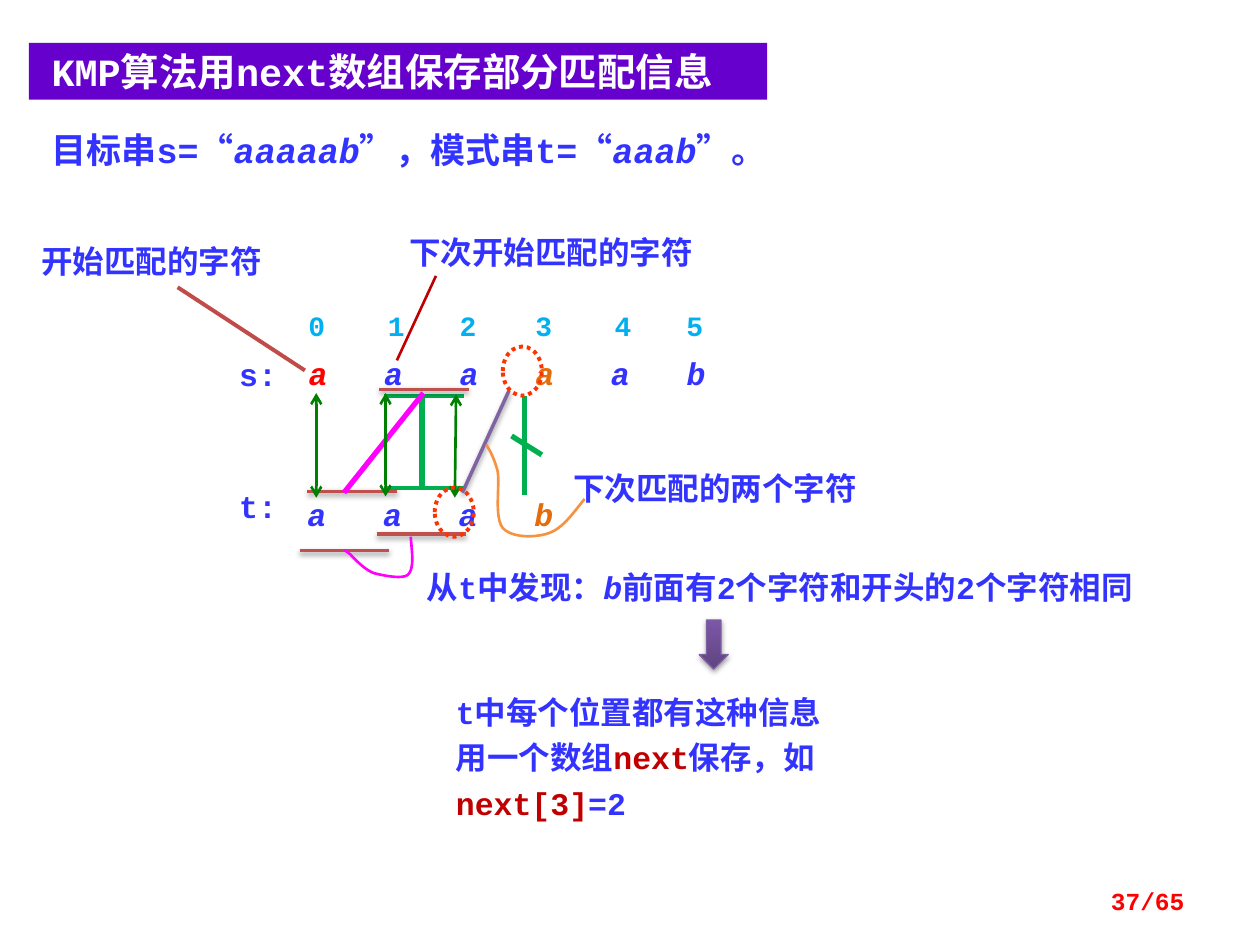
import pptx
import pptx.dml.color
import pptx.enum.dml
import pptx.enum.shapes
import pptx.enum.text
import pptx.oxml
import pptx.oxml.ns
import pptx.util
import lxml.etree

Inches = pptx.util.Inches
Pt = pptx.util.Pt
SHAPES = pptx.enum.shapes.MSO_SHAPE
ANCHOR = pptx.enum.text.MSO_ANCHOR
RIGHT = pptx.enum.text.PP_ALIGN.RIGHT

COLORS = {
    "blue": "3333FF", "red": "FF0000", "orange": "E46C0A", "sky": "00B0F0",
    "green": "00B050", "arrow": "008000", "brick": "C0504D", "rust": "BF4C48",
    "magenta": "FF00FF", "dots": "FF3300", "violet": "8064A2", "crimson": "C00000",
    "peach": "F69240", "banner": "6600CC", "white": "FFFFFF",
    "arrow_dark": "5F4480", "arrow_light": "7C57A8", "arrow_edge": "7D60A0",
}
MONO, CJK = "Courier New", "Noto Sans CJK SC"
LETTER_STOPS = [0.6 * step for step in range(1, 6)]
INDEX_STOPS = [0.63, 1.2, 1.8, 2.43, 3.0]

BANNER = {"at": (0.23, 0.34, 5.86, 0.45), "size": 22, "insets": (0.18, 0.04), "wrap": False,
          "paras": [[("KMP算法用next数组保存部分匹配信息", "white")]]}
TEXTS = [
    {"at": (2.35, 2.76, 3.59, 0.4), "stops": LETTER_STOPS, "paras": [[
        ("a\t", "red", True), ("a\ta\t", "blue", True),
        ("a\t", "orange", True), ("a\tb", "blue", True)]]},
    {"at": (2.35, 2.4, 3.43, 0.4), "size": 16, "stops": INDEX_STOPS,
     "paras": [[("0\t1\t2\t3\t4\t5", "sky")]]},
    {"at": (2.44, 3.93, 2.19, 0.3), "insets": (0, 0), "stops": LETTER_STOPS,
     "paras": [[("a\ta\ta\t", "blue", True), ("b", "orange", True)]]},
    {"at": (3.29, 4.46, 6.01, 0.4), "paras": [[
        ("从t中发现：", "blue"), ("b", "blue", True),
        ("前面有2个字符和开头的2个字符相同", "blue")]]},
    {"at": (1.8, 2.77, 0.55, 0.4), "paras": [[("s:", "blue")]]},
    {"at": (1.8, 3.82, 0.55, 0.4), "paras": [[("t:", "blue")]]},
    {"at": (0.23, 1.87, 2.34, 0.4), "font": CJK, "paras": [[("开始匹配的字符", "blue")]]},
    {"at": (3.15, 1.8, 2.81, 0.4), "font": CJK, "paras": [[("下次开始匹配的字符", "blue")]]},
    {"at": (4.45, 3.67, 2.81, 0.4), "font": CJK, "paras": [[("下次匹配的两个字符", "blue")]]},
    {"at": (3.52, 5.39, 4.3, 0.83), "spacing": 26, "paras": [
        [("t中每个位置都有这种信息", "blue")],
        [("用一个数组", "blue"), ("next", "crimson"), ("保存，如", "blue"),
         ("next[3]", "crimson"), ("=2", "blue")]]},
    {"at": (0.31, 0.97, 5.7, 0.44), "size": 20, "paras": [[
        ("目标串s=“", "blue"), ("aaaaab", "blue", True), ("”，模式串t=“", "blue"),
        ("aaab", "blue", True), ("”。", "blue")]]},
    {"at": (7.17, 6.95, 2.33, 0.4), "size": 14, "align": RIGHT, "anchor": ANCHOR.MIDDLE,
     "paras": [[("37/65", "red")]]},
]
LINES = [
    (3.05, 3.87, 3.68, 3.87, "green", 2.25),
    (3.05, 3.14, 3.68, 3.14, "green", 2.25),
    (3.35, 3.15, 3.35, 3.86, "green", 3),
    (2.44, 3.9, 3.15, 3.9, "brick", 2, "shadow"),
    (3.01, 3.09, 3.72, 3.09, "brick", 2, "shadow"),
    (3.36, 3.12, 2.73, 3.91, "magenta", 3),
    (2.99, 4.24, 3.7, 4.24, "brick", 2, "shadow"),
    (2.38, 4.37, 3.09, 4.37, "brick", 2, "shadow"),
    (4.16, 3.14, 4.16, 3.93, "green", 3),
    (4.06, 3.46, 4.3, 3.61, "green", 3),
    (4.04, 3.1, 3.67, 3.91, "violet", 2, "shadow"),
    (1.41, 2.28, 2.42, 2.94, "rust", 2.25),
    (2.51, 3.12, 2.51, 3.95, "arrow", 1.5, "arrows"),
    (3.06, 3.12, 3.06, 3.94, "arrow", 1.5, "arrows"),
    (3.62, 3.13, 3.61, 3.95, "arrow", 1.5, "arrows"),
    (3.46, 2.19, 3.15, 2.86, "crimson", 1.5),
]
CIRCLES = [(3.99, 2.75, 0.31, 0.39), (3.45, 3.87, 0.31, 0.39)]
CURVES = [
    ("magenta", (2.73, 4.37), [
        ((2.74, 4.37), (2.74, 4.37), (2.78, 4.4)),
        ((2.82, 4.44), (2.89, 4.52), (2.97, 4.55)),
        ((3.05, 4.57), (3.2, 4.6), (3.24, 4.56)),
        ((3.29, 4.51), (3.27, 4.38), (3.26, 4.26))]),
    ("peach", (3.86, 3.53), [
        ((3.89, 3.58), (3.92, 3.63), (3.95, 3.74)),
        ((3.97, 3.85), (3.92, 4.1), (3.99, 4.19)),
        ((4.06, 4.27), (4.25, 4.27), (4.36, 4.23)),
        ((4.47, 4.19), (4.55, 4.07), (4.64, 3.96))]),
]


def rgb(name):
    return pptx.dml.color.RGBColor.from_string(COLORS[name])


def add_node(parent, tag, **attributes):
    return lxml.etree.SubElement(parent, pptx.oxml.ns.qn(tag), attributes)


def set_values(target, values):
    for name, value in values.items():
        setattr(target, name, value)


def set_line(shape, color, width):
    shape.line.color.rgb = rgb(color)
    shape.line.width = Pt(width)


def add_shadow(properties):
    effects = add_node(properties, "a:effectLst")
    shadow = add_node(effects, "a:outerShdw", blurRad=str(Pt(3.1)), dist=str(Pt(1.6)),
                      dir="5400000", rotWithShape="0")
    add_node(add_node(shadow, "a:srgbClr", val="000000"), "a:alpha", val="38000")


def write_text(box, item):
    frame = box.text_frame
    side, edge = (Inches(inset) for inset in item.get("insets", (0.1, 0.05)))
    set_values(frame, {
        "word_wrap": item.get("wrap", True),
        "vertical_anchor": item.get("anchor", ANCHOR.TOP),
        "margin_left": side, "margin_right": side, "margin_top": edge, "margin_bottom": edge})
    for number, parts in enumerate(item["paras"]):
        para = frame.add_paragraph() if number else frame.paragraphs[0]
        para.alignment = item.get("align", pptx.enum.text.PP_ALIGN.LEFT)
        if "spacing" in item:
            para.line_spacing = Pt(item["spacing"])
        if "stops" in item:
            tabs = add_node(para._p.get_or_add_pPr(), "a:tabLst")
            for stop in item["stops"]:
                add_node(tabs, "a:tab", pos=str(Inches(stop)), algn="l")
        for text, color, *italic in parts:
            span = para.add_run()
            span.text = text
            set_values(span.font, {"name": item.get("font", MONO), "size": Pt(item.get("size", 18)),
                                   "bold": True, "italic": bool(italic)})
            span.font.color.rgb = rgb(color)
            add_node(span.font._element, "a:ea", typeface=CJK)


def add_shape(page, kind, at):
    shape = page.shapes.add_shape(kind, *map(Inches, at))
    shape.shadow.inherit = False
    return shape


def add_line(page, x1, y1, x2, y2, color, width, style=None):
    line = page.shapes.add_connector(pptx.enum.shapes.MSO_CONNECTOR.STRAIGHT,
                                     *map(Inches, (x1, y1, x2, y2)))
    set_line(line, color, width)
    if style == "arrows":
        for end in ("a:headEnd", "a:tailEnd"):
            add_node(line.line._get_or_add_ln(), end, type="arrow")
    if style == "shadow":
        add_shadow(line._element.spPr)
    else:
        add_node(line._element.spPr, "a:effectLst")


def add_curve(page, color, start, segments, steps=12):
    points, here = [], start
    for first, second, last in segments:
        for step in range(1, steps + 1):
            t = step / steps
            points.append(tuple(
                Inches((1 - t) ** 3 * a + 3 * (1 - t) ** 2 * t * b + 3 * (1 - t) * t ** 2 * c + t ** 3 * d)
                for a, b, c, d in zip(here, first, second, last)))
        here = last
    builder = page.shapes.build_freeform(*map(Inches, start))
    builder.add_line_segments(points, close=False)
    curve = builder.convert_to_shape()
    curve.shadow.inherit = False
    curve.fill.background()
    set_line(curve, color, 1.5)


def main():
    deck = pptx.Presentation()
    set_values(deck, {"slide_width": Inches(10), "slide_height": Inches(7.5)})
    page = deck.slides.add_slide(deck.slide_layouts[6])

    banner = add_shape(page, SHAPES.RECTANGLE, BANNER["at"])
    banner.fill.solid()
    banner.fill.fore_color.rgb = rgb("banner")
    banner.line.fill.background()
    write_text(banner, BANNER)
    for item in TEXTS:
        write_text(page.shapes.add_textbox(*map(Inches, item["at"])), item)
    for line in LINES:
        add_line(page, *line)
    for at in CIRCLES:
        circle = add_shape(page, SHAPES.OVAL, at)
        circle.fill.background()
        set_line(circle, "dots", 2.25)
        circle.line.dash_style = pptx.enum.dml.MSO_LINE.ROUND_DOT
    for curve in CURVES:
        add_curve(page, *curve)

    arrow = page.shapes.add_shape(SHAPES.DOWN_ARROW, *map(Inches, (5.55, 4.92, 0.23, 0.39)))
    arrow.fill.gradient()
    arrow.fill.gradient_angle = 90
    for stop, color in zip(arrow.fill.gradient_stops, ("arrow_dark", "arrow_light")):
        stop.color.rgb = rgb(color)
    set_line(arrow, "arrow_edge", 0.75)
    add_shadow(arrow._element.spPr)
    deck.save("out.pptx")


if __name__ == "__main__":
    main()
